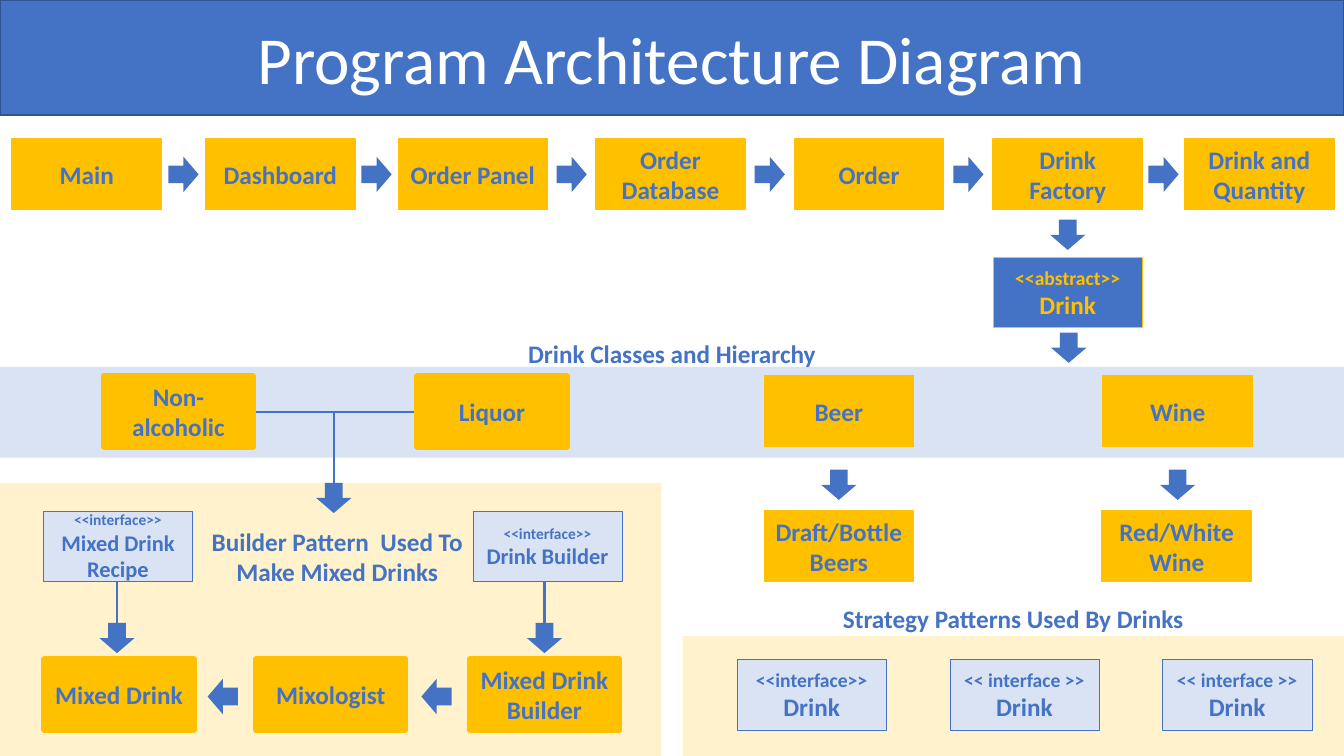
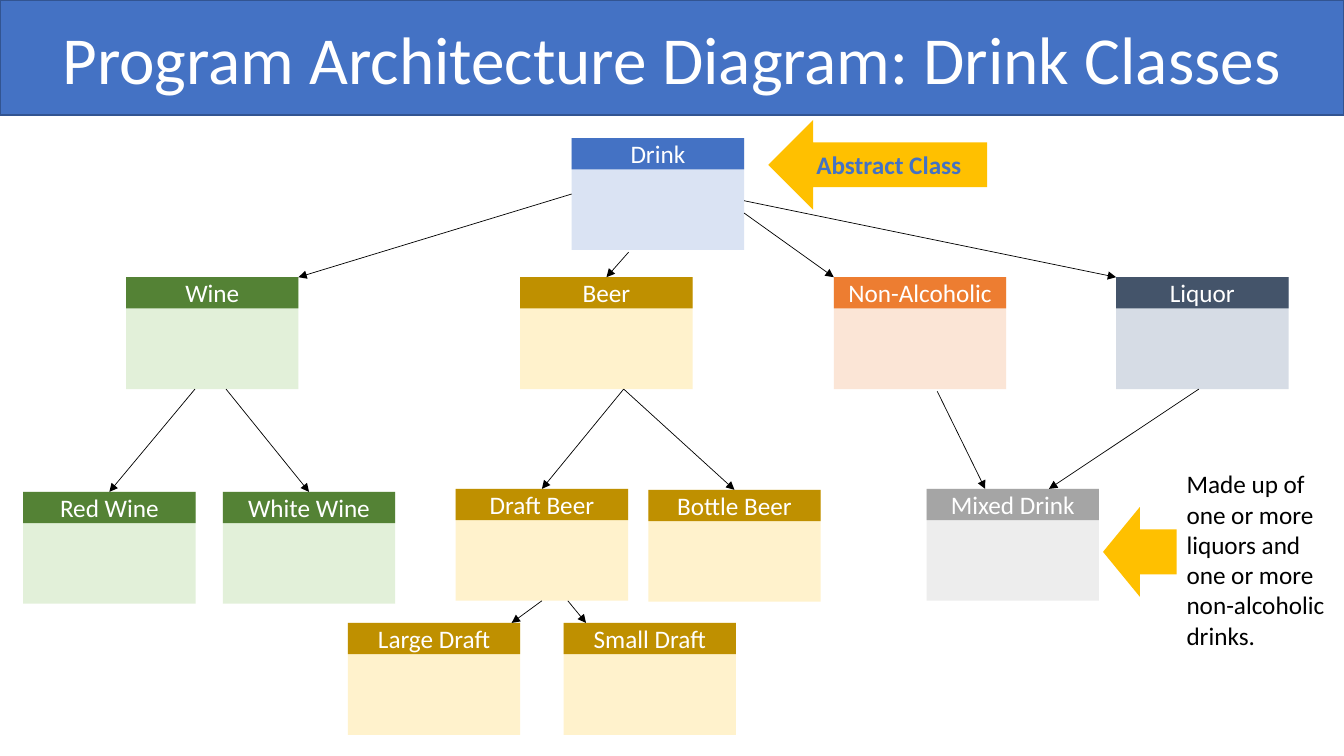
"""Build two slides that show a drink ordering program and its class hierarchy."""
from itertools import pairwise

from pptx import Presentation
from pptx.dml.color import RGBColor
from pptx.enum.shapes import MSO_CONNECTOR, MSO_SHAPE
from pptx.enum.text import MSO_ANCHOR, MSO_AUTO_SIZE, PP_ALIGN
from pptx.oxml.ns import qn
from pptx.util import Inches, Pt
from lxml.etree import SubElement

W, H = 13.33, 7.5
TITLE_H = 1.14
BOX_W, BOX_H = 1.48, 0.7
ARROW_LEN, ARROW_WIDE = 0.3, 0.35
CARD_W, CARD_H, HEAD_H = 1.71, 1.11, 0.31
FONT = "Calibri"
C = {
    "blue": "4472C4", "edge": "325491", "pale": "DAE3F3", "gold": "FFC000",
    "cream": "FFF2CC", "white": "FFFFFF", "black": "000000",
}
RIGHT, LEFT, DOWN = MSO_SHAPE.RIGHT_ARROW, MSO_SHAPE.LEFT_ARROW, MSO_SHAPE.DOWN_ARROW

TITLES = ["Program Architecture Diagram", "Program Architecture Diagram: Drink Classes"]

ROW = {"chain": 1.38, "abstract": 2.55, "class": 3.73, "detail": 5.07, "bottom": 6.54}
PANELS = [
    (0, 4.79, 6.56, 2.71, "cream"),
    (0, 3.64, W, 0.9, "pale"),
    (6.77, 6.31, 6.56, 1.19, "cream"),
]
CHAIN = [
    ("Main", 0.12), ("Dashboard", 2.04), ("Order Panel", 3.95), ("Order Database", 5.91),
    ("Order", 7.88), ("Drink Factory", 9.85), ("Drink and Quantity", 11.75),
]
STEPS = [
    ("Wine", 10.94, "class", 1), ("Beer", 7.58, "class", 1),
    ("Draft/Bottle Beers", 7.58, "detail", 1), ("Red/White Wine", 10.93, "detail", 1),
    ("Liquor", 4.14, "class", 4.5), ("Non-alcoholic", 1.03, "class", 4.5),
    ("Mixed Drink", 0.44, "bottom", 4.5), ("Mixologist", 2.54, "bottom", 4.5),
    ("Mixed Drink Builder", 4.66, "bottom", 4.5),
]
TYPES = [
    ("<<abstract>> ", 14, "Drink", 18, 9.85, "abstract", "blue", "gold"),
    ("<<interface>> ", 11, "Mixed Drink Recipe", 16, 0.43, "detail", "pale", "blue"),
    ("<<interface>> ", 11, "Drink Builder", 16, 4.69, "detail", "pale", "blue"),
    ("<<interface>> ", 14, "Drink", 18, 7.31, "bottom", "pale", "blue"),
    ("<< interface >> ", 14, "Drink", 18, 9.42, "bottom", "pale", "blue"),
    ("<< interface >> ", 14, "Drink", 18, 11.53, "bottom", "pale", "blue"),
]
LABELS = [
    ("Drink Classes and Hierarchy", 3.33, 3.31, 6.67, 0.4),
    ("Strategy Patterns Used By Drinks", 6.77, 5.94, 6.56, 0.4),
    ("Builder Pattern  Used To Make Mixed Drinks", 2, 5.17, 2.69, 0.71),
]
LINKS = [
    (2.51, 4.09, 4.14, 4.09), (3.31, 4.09, 3.31, 4.83),
    (1.16, 5.57, 1.16, 6.31), (5.4, 5.57, 5.4, 6.31),
]
ARROWS = [
    (DOWN, 10.59, 2.33), (DOWN, 10.6, 3.45), (DOWN, 8.32, 4.81), (DOWN, 11.68, 4.81),
    (DOWN, 3.31, 4.94), (DOWN, 1.16, 6.33), (DOWN, 5.4, 6.33),
    (LEFT, 4.33, 6.91), (LEFT, 2.21, 6.91),
]

FAMILY = {
    "drink": ("4472C4", "DAE3F3"), "wine": ("548235", "E2F0D9"),
    "beer": ("BF9000", "FFF2CC"), "soft": ("ED7D31", "FBE5D6"),
    "liquor": ("44546A", "D6DCE5"), "mixed": ("A5A5A5", "EDEDED"),
}
CARDS = {
    "Drink": (5.67, 1.37, "drink"),
    "Wine": (1.25, 2.75, "wine"), "Beer": (5.16, 2.75, "beer"),
    "Non-Alcoholic": (8.27, 2.75, "soft"), "Liquor": (11.07, 2.75, "liquor"),
    "Mixed Drink": (9.19, 4.85, "mixed"),
    "Red Wine": (0.23, 4.88, "wine"), "White Wine": (2.21, 4.88, "wine"),
    "Draft Beer": (4.52, 4.85, "beer"), "Bottle Beer": (6.43, 4.86, "beer"),
    "Large Draft": (3.45, 6.18, "beer"), "Small Draft": (5.59, 6.18, "beer"),
}
EDGES = [
    ("Drink", 0, 0.5, "Wine", 1), ("Drink", 0.33, 1.02, "Beer", 0.5),
    ("Drink", 1, 0.67, "Non-Alcoholic", 0), ("Drink", 1, 0.56, "Liquor", 0),
    ("Wine", 0.4, 1, "Red Wine", 0.5), ("Wine", 0.58, 1, "White Wine", 0.5),
    ("Beer", 0.6, 1, "Draft Beer", 0.5), ("Beer", 0.6, 1, "Bottle Beer", 0.5),
    ("Non-Alcoholic", 0.6, 1.02, "Mixed Drink", 0.34),
    ("Liquor", 0.48, 1, "Mixed Drink", 0.71),
    ("Draft Beer", 0.5, 1, "Large Draft", 0.95),
    ("Draft Beer", 0.65, 1, "Small Draft", 0.13),
]
NOTE = "Made up of one or more liquors and one or more non-alcoholic drinks."


def rgb(name):
    return RGBColor.from_string(C.get(name, name))


def inches(*values):
    return [Inches(v) for v in values]


def write(shape, runs, color, bold=False, align=PP_ALIGN.CENTER, anchor=MSO_ANCHOR.MIDDLE):
    tf = shape.text_frame
    tf.word_wrap = True
    tf.auto_size = MSO_AUTO_SIZE.NONE
    tf.vertical_anchor = anchor
    p = tf.paragraphs[0]
    p.alignment = align
    for text, size in runs:
        r = p.add_run()
        r.text = text
        r.font.name, r.font.size, r.font.bold = FONT, Pt(size), bold
        r.font.color.rgb = rgb(color)


def paint(shape, fill, line=None, width=1):
    shape.fill.solid()
    shape.fill.fore_color.rgb = rgb(fill)
    if line:
        shape.line.color.rgb = rgb(line)
        shape.line.width = Pt(width)
    else:
        shape.line.fill.background()


def box(shapes, x, y, w, h, fill, line=None, width=1, kind=MSO_SHAPE.RECTANGLE):
    sp = shapes.add_shape(kind, *inches(x, y, w, h))
    sp.shadow.inherit = False
    paint(sp, fill, line, width)
    return sp


def label(s, text, x, y, w, h, color="blue", bold=True, align=PP_ALIGN.CENTER):
    sp = s.shapes.add_textbox(*inches(x, y, w, h))
    write(sp, [(text, 18)], color, bold, align, MSO_ANCHOR.TOP)


def arrow(s, kind, cx, cy):
    w, h = (ARROW_WIDE, ARROW_LEN) if kind == DOWN else (ARROW_LEN, ARROW_WIDE)
    box(s.shapes, cx - w / 2, cy - h / 2, w, h, "blue", kind=kind)


def link(s, x1, y1, x2, y2, color, width, pointed=False):
    cx = s.shapes.add_connector(MSO_CONNECTOR.STRAIGHT, *inches(x1, y1, x2, y2))
    cx.line.color.rgb = rgb(color)
    cx.line.width = Pt(width)
    if pointed:
        SubElement(cx.line._get_or_add_ln(), qn("a:tailEnd"), type="triangle")
    SubElement(cx._element.spPr, qn("a:effectLst"))


def titled_slide(prs, text):
    s = prs.slides.add_slide(prs.slide_layouts[5])
    sp = s.shapes.title
    sp.left, sp.top, sp.width, sp.height = inches(0, 0, W, TITLE_H)
    paint(sp, "blue", "edge")
    write(sp, [(text, 48)], "white")
    return s


def card(s, name, x, y, family):
    head, body = FAMILY[family]
    group = s.shapes.add_group_shape()
    box(group.shapes, x, y, CARD_W, CARD_H, body)
    write(box(group.shapes, x, y, CARD_W, HEAD_H, head), [(name, 18)], "white")


def draw_architecture(s):
    for panel in PANELS:
        box(s.shapes, *panel)
    for ends in LINKS:
        link(s, *ends, "blue", 1.5)
    steps = [(name, x, "chain", 1) for name, x in CHAIN] + STEPS
    for name, x, row, width in steps:
        sp = box(s.shapes, x, ROW[row], BOX_W, BOX_H, "gold", "gold", width)
        write(sp, [(name, 18)], "blue", True)
    for stereotype, small, name, size, x, row, fill, ink in TYPES:
        sp = box(s.shapes, x, ROW[row], BOX_W, BOX_H, fill, ink, 0.25)
        write(sp, [(stereotype, small), (name, size)], ink, True)
    for (_, x1), (_, x2) in pairwise(CHAIN):
        arrow(s, RIGHT, (x1 + BOX_W + x2) / 2, ROW["chain"] + BOX_H / 2)
    for spot in ARROWS:
        arrow(s, *spot)
    for item in LABELS:
        label(s, *item)


def draw_classes(s):
    for name, place in CARDS.items():
        card(s, name, *place)
    for parent, px, py, child, cx in EDGES:
        x1, y1, _ = CARDS[parent]
        x2, y2, _ = CARDS[child]
        link(s, x1 + px * CARD_W, y1 + py * CARD_H, x2 + cx * CARD_W, y2, "black", 0.5, True)
    sp = box(s.shapes, 7.62, 1.19, 2.17, 0.89, "gold", kind=LEFT)
    write(sp, [("Abstract Class", 18)], "blue", True)
    label(s, NOTE, 11.67, 4.6, 1.66, 1.92, "black", False, PP_ALIGN.LEFT)
    box(s.shapes, 10.94, 5.03, 0.73, 0.89, "gold", kind=LEFT)


def main():
    prs = Presentation()
    prs.slide_width, prs.slide_height = inches(W, H)
    for title, draw in zip(TITLES, (draw_architecture, draw_classes)):
        draw(titled_slide(prs, title))
    prs.save("out.pptx")


if __name__ == "__main__":
    main()
